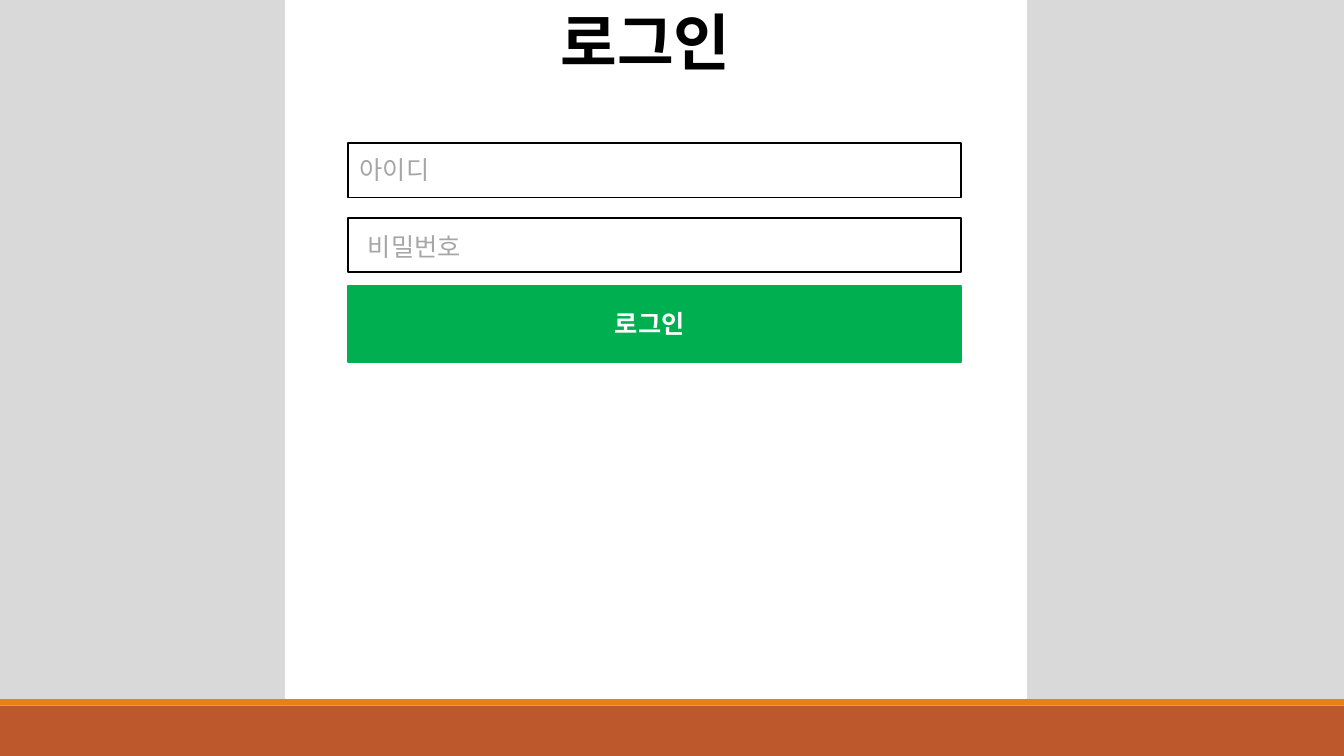
from pptx import Presentation
from pptx.dml.color import RGBColor
from pptx.enum.shapes import MSO_SHAPE
from pptx.enum.text import MSO_ANCHOR, MSO_AUTO_SIZE, PP_ALIGN
from pptx.util import Inches, Pt

COLORS = {
    "rust": "BD582C",
    "orange": "E48312",
    "backdrop": "D9D9D9",
    "white": "FFFFFF",
    "black": "000000",
    "hint": "A6A6A6",
    "green": "00B050",
}
SLIDE_WIDTH, SLIDE_HEIGHT = 13.33, 7.5
FONT = "Calibri"


def add_block(slide, box, fill, outline=None):
    """Add a filled rectangle with an optional outline."""
    block = slide.shapes.add_shape(MSO_SHAPE.RECTANGLE, *map(Inches, box))
    block.shadow.inherit = False
    block.fill.solid()
    block.fill.fore_color.rgb = RGBColor.from_string(COLORS[fill])
    if outline:
        block.line.color.rgb = RGBColor.from_string(COLORS[outline])
        block.line.width = Pt(1.25)
    else:
        block.line.fill.background()


def write_text(holder, wording, size, color, bold=False):
    """Write one left-aligned line of text at the top of a shape."""
    frame = holder.text_frame
    frame.text = wording
    frame.word_wrap = True
    frame.auto_size = MSO_AUTO_SIZE.NONE
    frame.vertical_anchor = MSO_ANCHOR.TOP
    line = frame.paragraphs[0]
    line.alignment = PP_ALIGN.LEFT
    font = line.runs[0].font
    font.name = FONT
    font.size = Pt(size)
    font.bold = bold
    font.color.rgb = RGBColor.from_string(COLORS[color])


def add_label(slide, box, wording, color, bold=False):
    """Add a form label in its own text box."""
    label = slide.shapes.add_textbox(*map(Inches, box))
    write_text(label, wording, 18, color, bold)


def add_footer(slide, left, top, width, height):
    """Draw the rust footer with its thin orange stripe on top."""
    stripe = 0.07
    add_block(slide, (left, top + stripe, width, height - stripe), "rust")
    add_block(slide, (left, top, width, stripe), "orange")


def add_page(slide, left, top, width, height):
    """Draw the grey backdrop, the white page and its heading."""
    add_block(slide, (left, top, width, height), "backdrop", "backdrop")
    add_block(slide, (left + 2.84, top - 0.01, 7.34, height + 0.01), "white", "white")
    heading = slide.shapes.title
    heading.left, heading.top = Inches(left + 5.46), Inches(top - 0.01)
    heading.width, heading.height = Inches(2.05), Inches(0.84)
    write_text(heading, "로그인", 44, "black", True)
    heading.element.getparent().append(heading.element)


def add_login_form(slide, left, top, width):
    """Draw the two input fields and the login button."""
    field_height, field_pitch = 0.54, 0.74
    fields = [("아이디", 0.02, 0.06, 2.46), ("비밀번호", 0.1, 0.09, 1.24)]
    for row, (hint, indent, drop, hint_width) in enumerate(fields):
        field_top = top + row * field_pitch
        add_block(slide, (left, field_top, width, field_height), "white", "black")
        add_label(slide, (left + indent, field_top + drop, hint_width, 0.4), hint, "hint")
    button_top = top + 1.42
    add_block(slide, (left, button_top, width, 0.75), "green", "green")
    add_label(slide, (left + 2.55, button_top + 0.17, 1.01, 0.4), "로그인", "white", True)


def main():
    """Build the login screen slide and save it."""
    deck = Presentation()
    deck.slide_width, deck.slide_height = Inches(SLIDE_WIDTH), Inches(SLIDE_HEIGHT)
    slide = deck.slides.add_slide(deck.slide_layouts.get_by_name("Title Only"))
    page_height = 6.93
    add_footer(slide, 0, page_height, SLIDE_WIDTH, SLIDE_HEIGHT - page_height)
    add_page(slide, 0, 0, SLIDE_WIDTH, page_height)
    add_login_form(slide, 3.45, 1.42, 6.08)
    deck.save("out.pptx")


if __name__ == "__main__":
    main()
